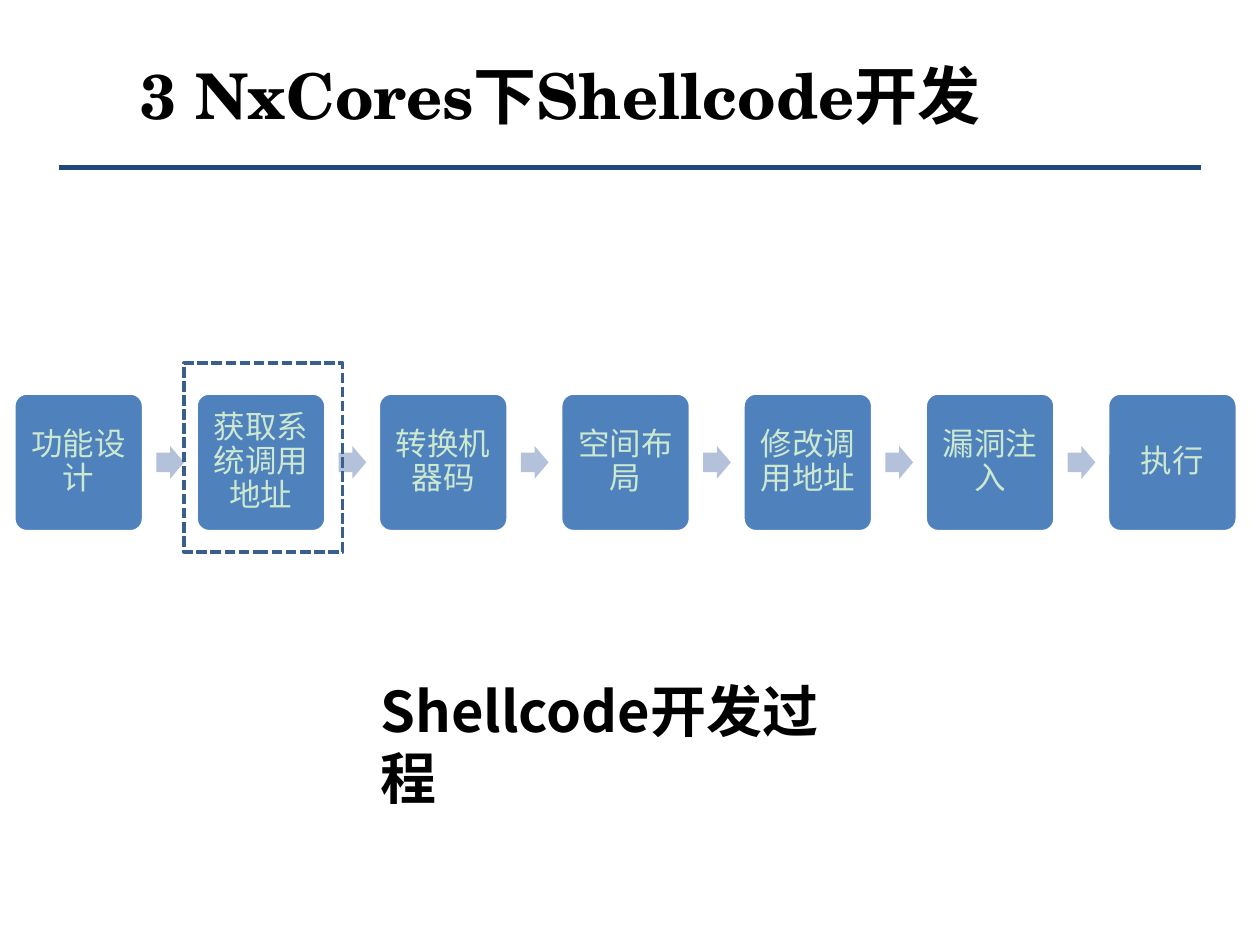
"""Build a slide showing the stages of shellcode development."""
import dataclasses

import lxml.etree
import pptx
import pptx.dml.color
import pptx.enum.dml
import pptx.enum.shapes
import pptx.enum.text
import pptx.oxml.ns
import pptx.util

Inches = pptx.util.Inches
Pt = pptx.util.Pt
SHAPE = pptx.enum.shapes.MSO_SHAPE
MIDDLE = pptx.enum.text.MSO_ANCHOR.MIDDLE


@dataclasses.dataclass(frozen=True)
class Theme:
    """Colours, fonts and type sizes of the slide."""
    paper: str = "FFFFFF"
    ink: str = "000000"
    rule: str = "1F497D"
    stage: str = "4F81BD"
    stage_text: str = "CCE8CF"
    arrow: str = "B3C1DB"
    highlight: str = "3A5F8C"
    title_font: str = "TeX Gyre Schola"
    stage_font: str = "Calibri"
    caption_font: str = "Noto Sans CJK KR"
    title_size: int = 36
    stage_size: int = 18
    caption_size: int = 32


THEME = Theme()
STAGES = ["功能设计", "获取系统调用地址", "转换机器码", "空间布局",
          "修改调用地址", "漏洞注入", "执行"]
STAGE_LEFT, STAGE_TOP, STAGE_WIDTH, STAGE_HEIGHT = 0.11, 3.12, 1.03, 1.1
STAGE_PITCH = 8.68 / (len(STAGES) - 1)
ARROW_OFFSET, ARROW_WIDTH, ARROW_HEIGHT = 1.13, 0.22, 0.26


def rgb(value):
    """Turn a hex string into a colour."""
    return pptx.dml.color.RGBColor.from_string(value)


def style_font(font, name, size, color, bold=False):
    """Set the face, size, colour and weight of a font."""
    font.name, font.size, font.bold = name, Pt(size), bold
    font.color.rgb = rgb(color)


def add_preset(slide, preset, left, top, width, height, fill=None):
    """Add a preset shape without shadow or outline."""
    shape = slide.shapes.add_shape(
        preset, Inches(left), Inches(top), Inches(width), Inches(height))
    shape.shadow.inherit = False
    if fill:
        shape.fill.solid()
        shape.fill.fore_color.rgb = rgb(fill)
    else:
        shape.fill.background()
    shape.line.fill.background()
    return shape


def set_outline(shape, color, width):
    """Give a shape or connector a solid outline."""
    shape.line.color.rgb = rgb(color)
    shape.line.width = Pt(width)


def add_heading(slide, text, left, top, width, height, font_name, size):
    """Add a bold wrapped line of text and return its frame."""
    frame = slide.shapes.add_textbox(
        Inches(left), Inches(top), Inches(width), Inches(height)).text_frame
    frame.word_wrap = True
    frame.text = text
    style_font(frame.paragraphs[0].font, font_name, size, THEME.ink, bold=True)
    return frame


def add_rule(slide, left, right, height):
    """Draw the horizontal rule under the title."""
    rule = slide.shapes.add_connector(
        pptx.enum.shapes.MSO_CONNECTOR.STRAIGHT,
        Inches(left), Inches(height), Inches(right), Inches(height))
    set_outline(rule, THEME.rule, 2.5)
    lxml.etree.SubElement(
        rule.element.spPr, pptx.oxml.ns.qn("a:effectLst"))


def add_stage(slide, text, left):
    """Add one labelled stage of the process."""
    stage = add_preset(slide, SHAPE.ROUNDED_RECTANGLE, left, STAGE_TOP,
                       STAGE_WIDTH, STAGE_HEIGHT, THEME.stage)
    stage.adjustments[0] = 0.1
    set_outline(stage, THEME.paper, 2)
    frame = stage.text_frame
    frame.word_wrap = True
    frame.vertical_anchor = MIDDLE
    frame.margin_left = frame.margin_right = Inches(0.07)
    frame.margin_top = frame.margin_bottom = Inches(0.07)
    frame.text = text
    label = frame.paragraphs[0]
    label.alignment = pptx.enum.text.PP_ALIGN.CENTER
    label.line_spacing = 0.9
    style_font(label.font, THEME.stage_font, THEME.stage_size,
               THEME.stage_text)


def add_arrow(slide, left):
    """Add a block arrow level with the middle of the stages."""
    top = STAGE_TOP + (STAGE_HEIGHT - ARROW_HEIGHT) / 2
    arrow = add_preset(slide, SHAPE.RIGHT_ARROW, left, top,
                       ARROW_WIDTH, ARROW_HEIGHT, THEME.arrow)
    arrow.adjustments[0] = 0.6
    arrow.adjustments[1] = 0.5


def add_process(slide):
    """Lay out the stages in a row with an arrow between neighbours."""
    for index, text in enumerate(STAGES):
        left = STAGE_LEFT + index * STAGE_PITCH
        if index:
            add_arrow(slide, left - STAGE_PITCH + ARROW_OFFSET)
        add_stage(slide, text, left)


def add_highlight(slide):
    """Frame the second stage with a dashed outline."""
    highlight = add_preset(slide, SHAPE.RECTANGLE, 1.46, 2.88, 1.26, 1.5)
    set_outline(highlight, THEME.highlight, 2)
    highlight.line.dash_style = pptx.enum.dml.MSO_LINE.SQUARE_DOT


def main():
    """Build and save the presentation."""
    deck = pptx.Presentation()
    deck.slide_width, deck.slide_height = Inches(10), Inches(7.5)
    slide = deck.slides.add_slide(deck.slide_layouts[6])
    slide.background.fill.solid()
    slide.background.fill.fore_color.rgb = rgb(THEME.paper)
    add_rule(slide, 0.47, 9.53, 1.33)
    title = add_heading(slide, "3 NxCores下Shellcode开发", 1.02, 0.23, 8.53,
                        1.03, THEME.title_font, THEME.title_size)
    title.vertical_anchor = MIDDLE
    add_process(slide)
    add_highlight(slide)
    add_heading(slide, "Shellcode开发过程", 2.92, 5.32, 4.08, 0.64,
                THEME.caption_font, THEME.caption_size)
    deck.save("out.pptx")


if __name__ == "__main__":
    main()
